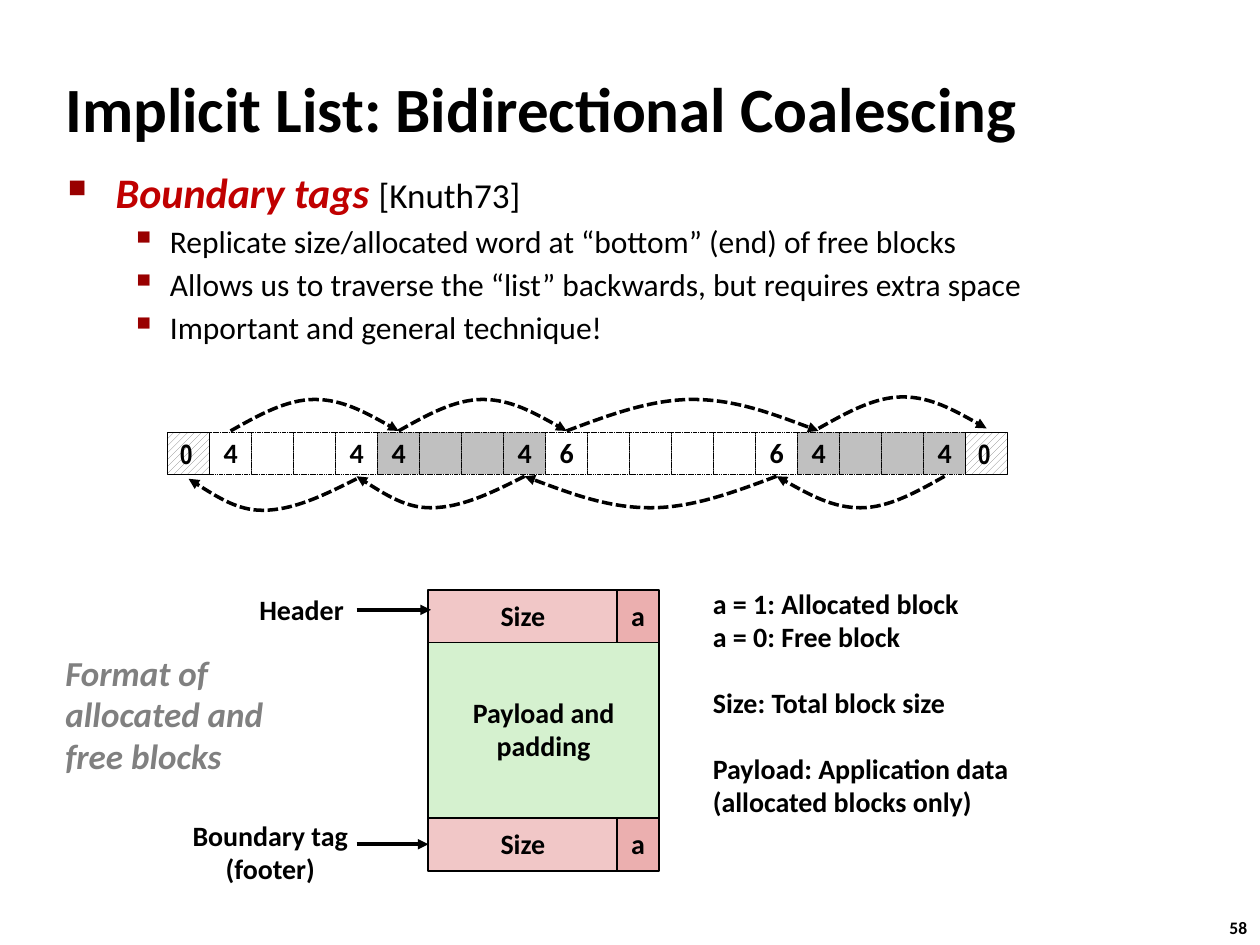
import pptx
import pptx.dml.color
import pptx.enum.dml
import pptx.enum.shapes
import pptx.enum.text
import pptx.oxml
import pptx.oxml.ns
import pptx.util

Inches = pptx.util.Inches
Pt = pptx.util.Pt
Align = pptx.enum.text.PP_ALIGN
Anchor = pptx.enum.text.MSO_ANCHOR
DASH = pptx.enum.dml.MSO_LINE.SQUARE_DOT
LABEL = {"name": "Calibri", "size": Pt(16), "bold": True, "italic": False}
CELL = 1 / 3


def color(hex_value):
    return pptx.dml.color.RGBColor.from_string(hex_value)


def add_xml(parent, tag, **attributes):
    """Append an empty drawing element with the given attributes."""
    child = pptx.oxml.parse_xml(f"<a:{tag} {pptx.oxml.ns.nsdecls('a')}/>")
    for name, value in attributes.items():
        child.set(name, str(value))
    parent.append(child)
    return child


def style_font(font, hex_value="000000", **changes):
    for name, value in {**LABEL, **changes}.items():
        setattr(font, name, value)
    font.color.rgb = color(hex_value)


def write(frame, lines, hex_value="000000", align=Align.LEFT, spacing=0.98, gaps=(), **changes):
    """Write one paragraph a line; gaps holds the lines set off by a line of space."""
    frame.word_wrap = False
    for index, line in enumerate(lines):
        para = frame.paragraphs[0] if index == 0 else frame.add_paragraph()
        para.alignment = align
        para.line_spacing = spacing
        if index in gaps:
            para.space_before = Pt(19)
        span = para.add_run()
        span.text = line
        style_font(span.font, hex_value, **changes)


def add_text(page, place, lines, **options):
    box = page.shapes.add_textbox(*map(Inches, place))
    write(box.text_frame, lines, **options)
    return box


def add_box(page, place, lines=(), fill="FFFFFF", width=1, dash=None, **options):
    box = page.shapes.add_shape(pptx.enum.shapes.MSO_SHAPE.RECTANGLE, *map(Inches, place))
    box.shadow.inherit = False
    box.fill.solid()
    box.fill.fore_color.rgb = color(fill)
    style_line(box.line, width, dash)
    box.text_frame.vertical_anchor = Anchor.MIDDLE
    write(box.text_frame, lines, **{"align": Align.CENTER, **options})
    return box


def style_line(line, width, dash=None):
    line.color.rgb = color("000000")
    line.width = Pt(width)
    if dash:
        line.dash_style = dash


def add_arrowhead(shape):
    line = shape.element.spPr.find(pptx.oxml.ns.qn("a:ln"))
    add_xml(line, "tailEnd", type="triangle")


def add_arc(page, start, end, base, rise, peak=0.5):
    """Dashed arrow of two Bezier curves that meet at the peak."""
    rest = 1 - peak
    steps = [(0, 0), (peak / 3, 0.5), (peak * 2 / 3, 1), (peak, 1),
             (peak + rest / 3, 1), (peak + rest * 2 / 3, 0.5), (1, 0)]
    points = [(Inches(start + (end - start) * along), Inches(base + rise * up))
              for along, up in steps]
    builder = page.shapes.build_freeform(*points[0])
    builder.add_line_segments(points[1:], close=False)
    arc = builder.convert_to_shape()
    arc.shadow.inherit = False
    arc.fill.background()
    style_line(arc.line, 2, DASH)
    add_arrowhead(arc)
    # Turn each three line points into one cubic curve
    segments = list(arc.element.iter(pptx.oxml.ns.qn("a:lnTo")))
    outline = segments[0].getparent()
    for first in range(0, len(segments), 3):
        curve = add_xml(outline, "cubicBezTo")
        for segment in segments[first:first + 3]:
            curve.append(segment[0])
            outline.remove(segment)


def add_arrow(page, start, end, target=None):
    arrow = page.shapes.add_connector(pptx.enum.shapes.MSO_CONNECTOR.STRAIGHT,
                                      *map(Inches, (*start, *end)))
    style_line(arrow.line, 2)
    add_arrowhead(arrow)
    add_xml(arrow.element.spPr, "effectLst")
    if target:
        arrow.end_connect(target, 1)


def add_bullets(page, place):
    box = page.shapes.add_textbox(*map(Inches, place))
    box.text_frame.word_wrap = True
    heading = [("Boundary tags ", "C00000", {"size": Pt(24), "italic": True}),
               ("[Knuth73]", "000000", {"size": Pt(20), "bold": False})]
    points = ["Replicate size/allocated word at “bottom” (end) of free blocks",
              "Allows us to traverse the “list” backwards, but requires extra space",
              "Important and general technique!"]
    items = [heading] + [[(text, "000000", {"size": Pt(18), "bold": False})] for text in points]
    for index, spans in enumerate(items):
        para = box.text_frame.paragraphs[0] if index == 0 else box.text_frame.add_paragraph()
        margin, hang, mark, percent, spacing = (
            (0.81, 0.31, "▪", 110, 0.88) if index else (0.38, 0.38, "■", 60, 0.83))
        para.line_spacing = spacing
        if index:
            para.level = 1
            para.space_before = Pt(5.6)
        layout = para._p.get_or_add_pPr()
        layout.set("marL", str(Inches(margin)))
        layout.set("indent", str(-Inches(hang)))
        add_xml(add_xml(layout, "buClr"), "srgbClr", val="990000")
        add_xml(layout, "buSzPct", val=percent * 1000)
        add_xml(layout, "buChar", char=mark)
        for text, hex_value, changes in spans:
            span = para.add_run()
            span.text = text
            style_font(span.font, hex_value, **changes)


def add_heap(page, left, top):
    """Row of words: blocks with a tag at each end, between two end markers."""
    blocks = [(4, "FFFFFF"), (4, "C0C0C0"), (6, "FFFFFF"), (4, "C0C0C0")]
    headers, footers, index = [], [0], 1
    for size, fill in blocks:
        headers.append(index)
        footers.append(index + size - 1)
        for word in range(size):
            lines = [str(size)] if word in (0, size - 1) else []
            add_box(page, (left + index * CELL, top, CELL, CELL), lines, fill, 0.25, DASH)
            index += 1
    headers.append(index)

    # End markers
    for end in (0, index):
        marker = add_box(page, (left + end * CELL, top, CELL, CELL), ["0"], width=0.25,
                         align=Align.LEFT, spacing=1.0, name="Arial Narrow")
        marker.fill.patterned()
        marker.fill.pattern = pptx.enum.dml.MSO_PATTERN.WIDE_UPWARD_DIAGONAL
        marker.fill.fore_color.rgb = color("808080")
        marker.fill.back_color.rgb = color("FFFFFF")

    # Forward links above, backward links below; those to a marker stand clear of it
    def center(cell):
        return left + (cell + 0.5) * CELL

    for here, after in zip(headers, headers[1:]):
        add_arc(page, center(here), center(after), top - (0.03 if after == index else 0.01), -0.25)
    for before, here in zip(footers, footers[1:]):
        add_arc(page, center(here), center(before), top + (0.37 if before == 0 else 0.35), 0.25,
                0.56 if here <= 8 else 0.5)


def add_block_format(page, left, top):
    """Block layout with header, payload and footer, and its labels."""
    width, tag_width, height, footer_top = 1.83, 0.33, 0.42, top + 1.81
    size_width = width - tag_width
    add_box(page, (left, top + 0.41, width, 1.41), ["Payload and", "padding"], "D5F1CF")
    for row_top in (top, footer_top):
        size_box = add_box(page, (left, row_top, size_width, height), ["Size"], "F1C7C7")
        add_box(page, (left + size_width, row_top, tag_width, height), ["a"], "EBAFAF")

    # Labels and arrows on the left
    add_text(page, (1.96, top - 0.01, 0.88, 0.37), ["Header"])
    add_text(page, (1.42, footer_top - 0.03, 1.45, 0.63), ["Boundary tag", "(footer)"],
             align=Align.CENTER)
    arrow_left, footer_middle = left - 0.57, footer_top + height / 2
    add_arrow(page, (arrow_left, top + 0.16), (left + 0.02, top + 0.16))
    add_arrow(page, (arrow_left, footer_middle), (left, footer_middle), size_box)
    add_text(page, (0.42, 5.14, 1.78, 1.09), ["Format of", "allocated and", "free blocks"],
             hex_value="808080", size=Pt(20), italic=True)

    # Legend on the right
    add_text(page, (left + 2.16, top - 0.06, 2.57, 2.22),
             ["a = 1: Allocated block", "a = 0: Free block", "Size: Total block size",
              "Payload: Application data", "(allocated blocks only)"], gaps=(2, 3))


def main():
    deck = pptx.Presentation()
    deck.slide_width, deck.slide_height = Inches(10), Inches(7.5)
    page = deck.slides.add_slide(deck.slide_layouts[6])
    title = add_text(page, (0.42, 0.54, 9.58, 0.63), ["Implicit List: Bidirectional Coalescing"],
                     size=Pt(36), spacing=1.0)
    title.text_frame.vertical_anchor = Anchor.MIDDLE
    add_bullets(page, (0.44, 1.34, 9.09, 1.45))
    add_heap(page, 1.33, 3.43)
    add_block_format(page, 3.4, 4.68)
    add_text(page, (9.66, 7.23, 0.37, 0.27), ["58"], size=Pt(10), spacing=1.0)
    deck.save("out.pptx")


if __name__ == "__main__":
    main()
